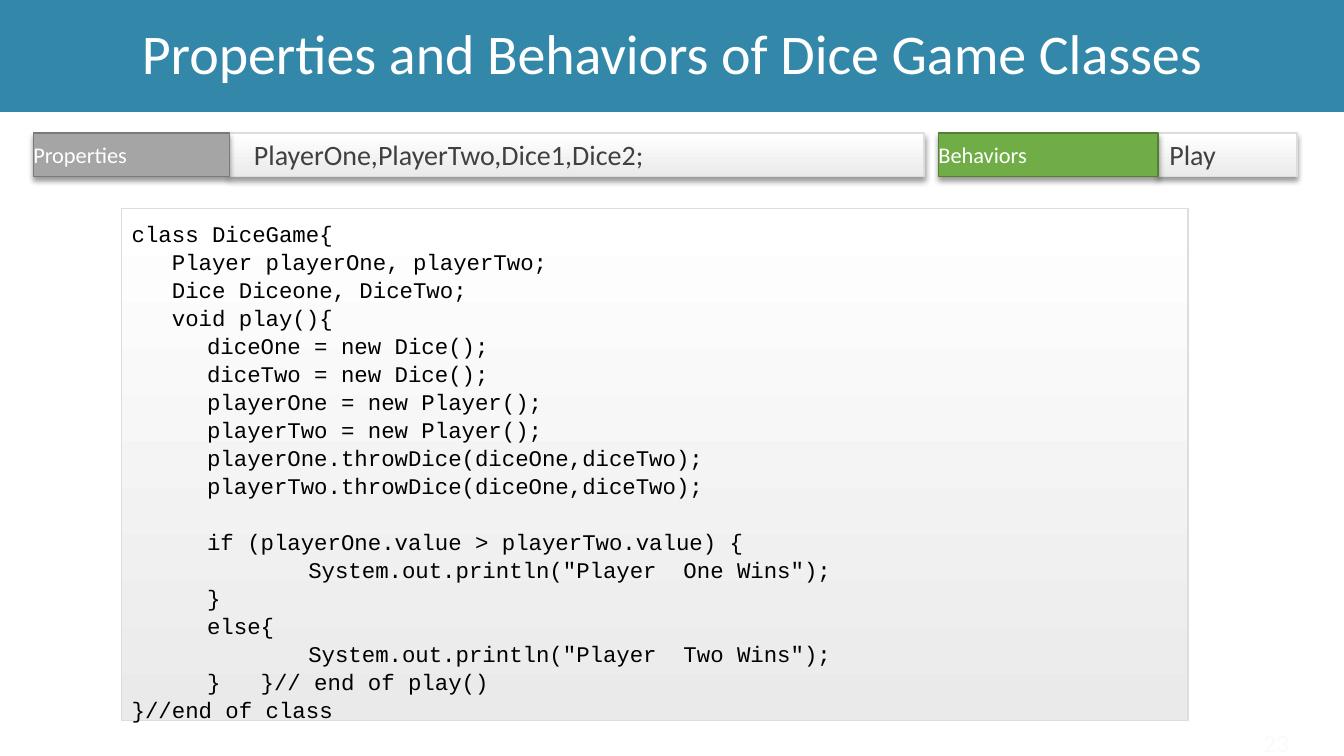
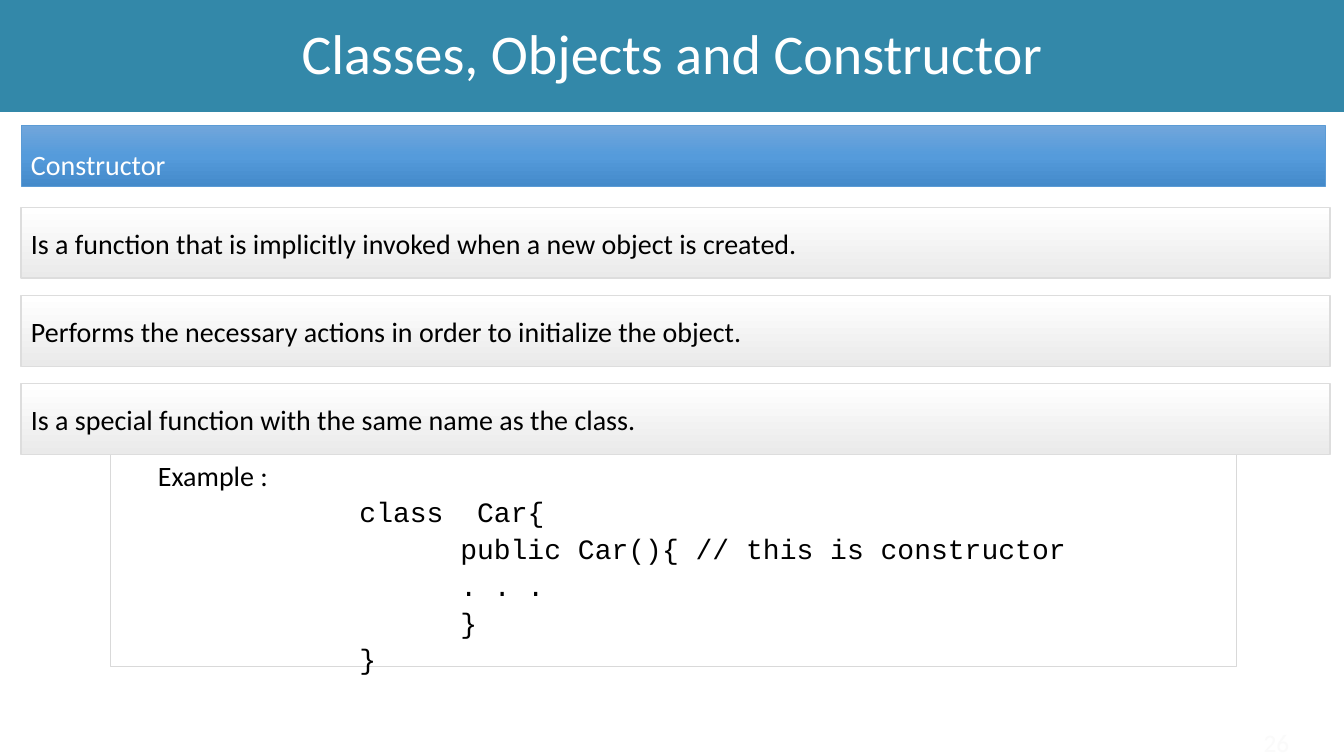
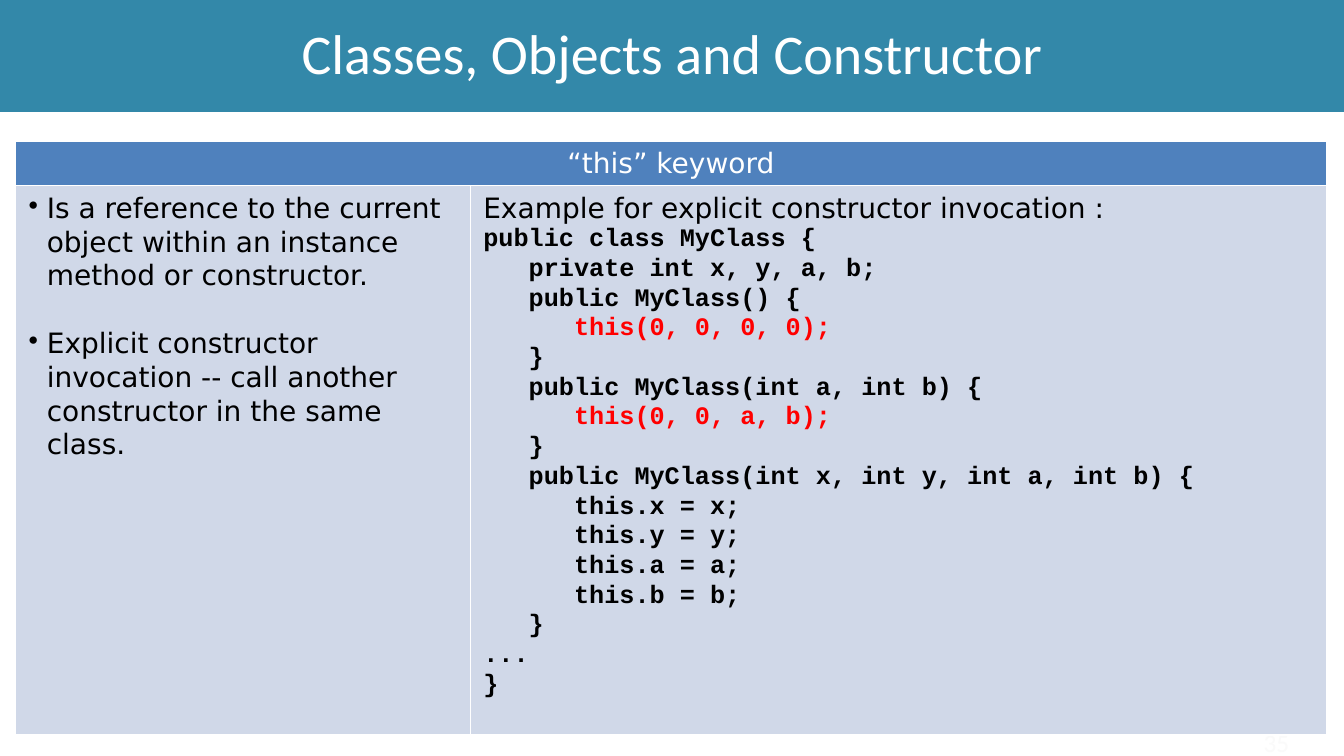
from lxml.etree import SubElement
from pptx import Presentation
from pptx.dml.color import RGBColor
from pptx.enum.shapes import MSO_SHAPE
from pptx.enum.text import MSO_ANCHOR, MSO_AUTO_SIZE, PP_ALIGN
from pptx.oxml.ns import qn
from pptx.util import Cm, Pt

WHITE = RGBColor(0xFF, 0xFF, 0xFF)
BLACK = RGBColor(0, 0, 0)
RED = RGBColor(0xFF, 0, 0)
TEAL = RGBColor(0x33, 0x88, 0xA9)
CHARCOAL = RGBColor(0x40, 0x40, 0x40)
PALE = RGBColor(0xFA, 0xFA, 0xFA)
SILVER = RGBColor(0xEA, 0xEA, 0xEA)
SILVER_EDGE = RGBColor(0xDD, 0xDD, 0xDD)
BOX_EDGE = RGBColor(0xD9, 0xD9, 0xD9)
GRAY = RGBColor(0xA5, 0xA5, 0xA5)
GRAY_EDGE = RGBColor(0x7A, 0x7A, 0x7A)
GREEN = RGBColor(0x70, 0xAD, 0x47)
GREEN_EDGE = RGBColor(0x53, 0x80, 0x35)
BLUE_EDGE = RGBColor(0x5B, 0x9B, 0xD5)
TABLE_HEAD = RGBColor(0x4F, 0x81, 0xBD)
TABLE_BODY = RGBColor(0xD0, 0xD8, 0xE8)
SILVER_FADE = (WHITE, SILVER)
BLUE_FADE = (RGBColor(0x71, 0xA6, 0xDB), RGBColor(0x55, 0x9B, 0xDB),
             RGBColor(0x44, 0x8A, 0xCA))

SANS, CODE, TABLE_FONT = "Calibri", "Courier New", "DejaVu Sans"
WIDTH, HEIGHT = 33.87, 19.05
BAR_TOP, BAR_HEIGHT = 3.35, 1.1

DICE_GAME = [
    (0, "class DiceGame{"),
    (0, "   Player playerOne, playerTwo;"),
    (0, "   Dice Diceone, DiceTwo;"),
    (0, "   void play(){"),
    (1, "diceOne = new Dice();"),
    (1, "diceTwo = new Dice();"),
    (1, "playerOne = new Player();"),
    (1, "playerTwo = new Player();"),
    (1, "playerOne.throwDice(diceOne,diceTwo);"),
    (1, "playerTwo.throwDice(diceOne,diceTwo);"),
    (1, ""),
    (1, "if (playerOne.value > playerTwo.value) {"),
    (2, 'System.out.println("Player  One Wins");'),
    (1, "}"),
    (1, "else{"),
    (2, 'System.out.println("Player  Two Wins");'),
    (1, "}   }// end of play()"),
    (0, "}//end of class"),
]
CAR = [
    (1, "class  Car{"),
    (2, "public Car(){ // this is constructor"),
    (2, ". . ."),
    (2, "}"),
    (1, "}"),
]
CONSTRUCTOR_FACTS = [
    "Is a function that is implicitly invoked when a new object is created.",
    "Performs the necessary actions in order to initialize the object.",
    "Is a special function with the same name as the class.",
]
THIS_FACTS = [
    "Is a reference to the current object within an instance method or constructor.",
    "Explicit constructor invocation -- call another constructor in the same class.",
]
MY_CLASS = """public class MyClass {
   private int x, y, a, b;
   public MyClass() {
      this(0, 0, 0, 0);
   }
   public MyClass(int a, int b) {
      this(0, 0, a, b);
   }
   public MyClass(int x, int y, int a, int b) {
      this.x = x;
      this.y = y;
      this.a = a;
      this.b = b;
   }
...
}""".splitlines()


class Deck:
    """Holds the shared style and the page being filled."""

    def __init__(self):
        self.deck = Presentation()
        self.deck.slide_width, self.deck.slide_height = Cm(WIDTH), Cm(HEIGHT)
        self.page = None

    def add_page(self, title, number):
        self.page = self.deck.slides.add_slide(self.deck.slide_layouts[5])
        band = self.page.shapes.title
        band.left, band.top, band.width, band.height = 0, 0, Cm(WIDTH), Cm(2.82)
        band.fill.solid()
        band.fill.fore_color.rgb = TEAL
        self.frame(band)
        self.add_text(band, title, 40, WHITE, align=PP_ALIGN.CENTER, spacing=0.9)
        box = self.page.shapes.add_textbox(Cm(31.04), Cm(18.21), Cm(1.7), Cm(0.84))
        self.frame(box, anchor=MSO_ANCHOR.TOP, insets=(0.25, 0.13, 0.25, 0))
        self.add_text(box, str(number), 18, PALE, align=PP_ALIGN.RIGHT)

    def frame(self, box, anchor=MSO_ANCHOR.MIDDLE, insets=(0.25, 0.13, 0.25, 0.13)):
        text = box.text_frame
        text.word_wrap = True
        text.auto_size = MSO_AUTO_SIZE.NONE
        text.vertical_anchor = anchor
        (text.margin_left, text.margin_top,
         text.margin_right, text.margin_bottom) = map(Cm, insets)

    def add_text(self, box, text, size, color, font=SANS, bold=False,
                 align=PP_ALIGN.LEFT, spacing=1.0, before=0, margin=0, bullet=False):
        """Add one paragraph, using the empty first one when there is one."""
        body = box.text_frame
        first = len(body.paragraphs) == 1 and not body.text
        para = body.paragraphs[0] if first else body.add_paragraph()
        para.text = text
        para.alignment = align
        para.line_spacing = spacing
        para.space_before = Pt(0 if first else before)
        properties = para._p.get_or_add_pPr()
        properties.set("marL", str(Cm(margin)))
        properties.set("indent", str(-Cm(margin) if bullet else 0))
        if bullet:
            SubElement(properties, qn("a:buChar"), char="•")
        para.font.name, para.font.size = font, Pt(size)
        para.font.bold = bold
        para.font.color.rgb = color

    def panel(self, left, top, width, height, fill, edge, weight=1, shadow=False):
        """Draw a rectangle; fill is None, one colour, or a tuple fading downward."""
        box = self.page.shapes.add_shape(
            MSO_SHAPE.RECTANGLE, Cm(left), Cm(top), Cm(width), Cm(height))
        box.shadow.inherit = False
        box.line.color.rgb = edge
        box.line.width = Pt(weight)
        if fill is None:
            box.fill.background()
        elif isinstance(fill, RGBColor):
            box.fill.solid()
            box.fill.fore_color.rgb = fill
        else:
            self.fade(box, fill)
        if shadow:
            self.cast_shadow(box)
        self.frame(box)
        return box

    def fade(self, box, colors):
        box.fill.gradient()
        box.fill.gradient_angle = 270
        stops = box._element.spPr.find(".//" + qn("a:gsLst"))
        stops.clear()
        for index, color in enumerate(colors):
            position = 100000 * index // (len(colors) - 1)
            stop = SubElement(stops, qn("a:gs"), pos=str(position))
            SubElement(stop, qn("a:srgbClr"), val=str(color))

    def cast_shadow(self, box):
        effects = box._element.spPr.find(qn("a:effectLst"))
        shade = SubElement(effects, qn("a:outerShdw"), blurRad=str(Pt(4)),
                           dist=str(Pt(3)), dir="5400000", rotWithShape="0")
        color = SubElement(shade, qn("a:srgbClr"), val="000000")
        SubElement(color, qn("a:alpha"), val="40000")

    def labelled_bar(self, left, label, label_width, fill, edge,
                     value, value_width, value_inset):
        bar = self.panel(left + label_width, BAR_TOP, value_width, BAR_HEIGHT,
                         SILVER_FADE, SILVER_EDGE, shadow=True)
        self.frame(bar, insets=(value_inset, 0, 0.1, 0))
        self.add_text(bar, value, 20, CHARCOAL)
        tag = self.panel(left, BAR_TOP, label_width, BAR_HEIGHT, fill, edge, shadow=True)
        self.frame(tag, insets=(0, 0, 0, 0))
        self.add_text(tag, label, 16, WHITE)

    def code(self, box, lines, size, indents, **style):
        for level, line in lines:
            self.add_text(box, line, size, BLACK, CODE, margin=indents[level], **style)

    def table(self, left, top, widths, heights):
        table = self.page.shapes.add_table(
            len(heights), len(widths), Cm(left), Cm(top),
            Cm(sum(widths)), Cm(sum(heights))).table
        table.first_row = table.horz_banding = False
        for column, width in zip(table.columns, widths):
            column.width = Cm(width)
        for row, height in zip(table.rows, heights):
            row.height = Cm(height)
        return table

    def style_cell(self, cell, fill, anchor=MSO_ANCHOR.TOP):
        cell.fill.solid()
        cell.fill.fore_color.rgb = fill
        cell.vertical_anchor = anchor
        cell.margin_left = cell.margin_right = Cm(0.32)
        cell.margin_top = cell.margin_bottom = Cm(0.13)


def dice_game_page(deck):
    deck.add_page("Properties and Behaviors of Dice Game Classes", 23)
    listing = deck.panel(3.07, 5.26, 26.87, 12.9, SILVER_FADE, SILVER_EDGE)
    deck.frame(listing, MSO_ANCHOR.TOP, (0.25, 0.25, 0.25, 0.25))
    deck.code(listing, DICE_GAME, 16, (0, 1.9, 4.45), spacing=Pt(20))
    deck.labelled_bar(0.84, "Properties", 4.95, GRAY, GRAY_EDGE,
                      "PlayerOne,PlayerTwo,Dice1,Dice2;", 17.5, 0.61)
    deck.labelled_bar(23.65, "Behaviors", 5.53, GREEN, GREEN_EDGE, "Play", 3.51, 0.29)


def constructor_page(deck):
    deck.add_page("Classes, Objects and Constructor", 26)
    example = deck.panel(2.79, 11.46, 28.37, 5.33, None, BOX_EDGE, 0.75)
    deck.frame(example, MSO_ANCHOR.TOP, (0.25, 0.25, 0.25, 0.25))
    deck.add_text(example, "Example :", 20, BLACK, spacing=0.8, margin=0.94)
    deck.code(example, CAR, 20, (0.94, 6.02, 8.56), spacing=0.8, before=7)
    heading = deck.panel(0.53, 3.15, 32.87, 1.55, BLUE_FADE, BLUE_EDGE, 0.5)
    deck.add_text(heading, "Constructor", 20, WHITE, spacing=1.5)
    for index, fact in enumerate(CONSTRUCTOR_FACTS):
        bar = deck.panel(0.53, 5.23 + 2.22 * index, 32.99, 1.78, SILVER_FADE, SILVER_EDGE)
        deck.add_text(bar, fact, 20, BLACK)


def this_keyword_page(deck):
    deck.add_page("Classes, Objects and Constructor", 35)
    table = deck.table(0.4, 3.56, (11.46, 21.56), (1.12, 13.84))
    heading, facts, example = table.cell(0, 0), table.cell(1, 0), table.cell(1, 1)
    heading.merge(table.cell(0, 1))
    deck.style_cell(heading, TABLE_HEAD, MSO_ANCHOR.MIDDLE)
    deck.add_text(heading, "“this” keyword", 20, WHITE, TABLE_FONT,
                  align=PP_ALIGN.CENTER, spacing=1.04)
    deck.style_cell(facts, TABLE_BODY)
    for fact in THIS_FACTS:
        deck.add_text(facts, fact, 20, BLACK, TABLE_FONT, spacing=1.04,
                      before=24, margin=0.46, bullet=True)
    deck.style_cell(example, TABLE_BODY)
    deck.add_text(example, "Example for explicit constructor invocation :", 20, BLACK,
                  TABLE_FONT, spacing=1.04)
    for line in MY_CLASS:
        color = RED if line.strip().startswith("this(") else BLACK
        deck.add_text(example, line, 18, color, CODE, bold=True, spacing=1.04)


def main():
    deck = Deck()
    dice_game_page(deck)
    constructor_page(deck)
    this_keyword_page(deck)
    deck.deck.save("out.pptx")


if __name__ == "__main__":
    main()
